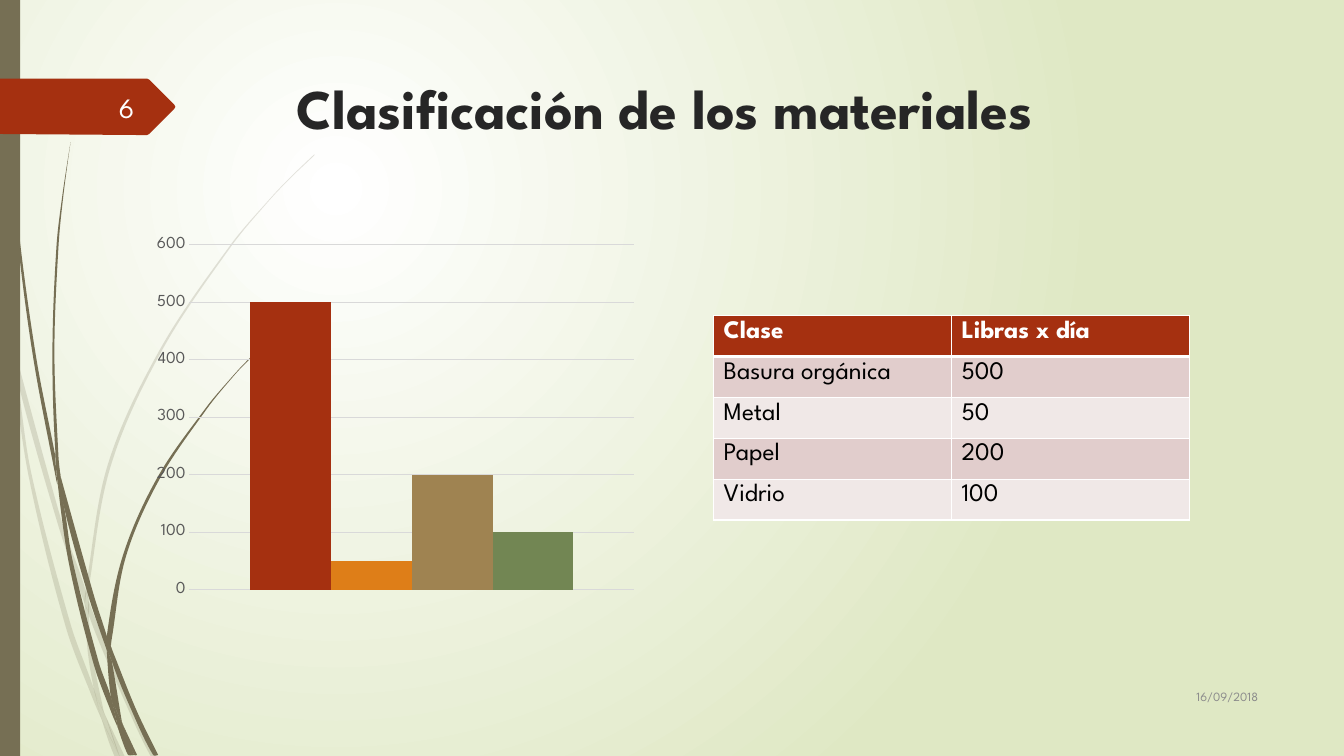
from lxml.etree import SubElement
from math import hypot
from pptx import Presentation
from pptx.chart.data import CategoryChartData
from pptx.dml.color import RGBColor
from pptx.enum.chart import XL_CHART_TYPE, XL_TICK_MARK
from pptx.enum.shapes import MSO_SHAPE
from pptx.enum.text import MSO_ANCHOR, PP_ALIGN
from pptx.oxml import parse_xml
from pptx.oxml.ns import nsdecls, qn
from pptx.util import Emu, Pt

PX = 9144  # 100 px to the inch
FONT = "League Spartan"
COLORS = {
    "white": "FFFFFF", "pale green": "DFE8C4", "stem": "766F54",
    "red": "A53010", "orange": "DE7E18", "tan": "9F8351", "green": "728653",
    "title": "262626", "number": "FEFFFF", "date": "8C8C8C", "black": "000000",
    "axis": "595959", "grid": "D9D9D9", "band dark": "E1CDCC", "band light": "F0E8E7",
}
MATERIALS = [("Basura orgánica", 500, "red"), ("Metal", 50, "orange"),
             ("Papel", 200, "tan"), ("Vidrio", 100, "green")]

# Outlines of the grass blades, as x,y pairs
PALE_BLADES = [
    "11,350 9,322 0,282 0,299 10,344",
    "58,522 84,599 85,586 62,520 14,345 17,376",
    "92,607 88,596 88,610 123,694 150,751 155,751 127,692",
    "119,751 124,751 105,711",
    "93,683 70,619 31,469 17,376 11,350 28,470 65,621 92,693 101,714 99,707",
    "84,599 87,646 93,683 96,692 105,711 103,706 91,646 88,610 88,608",
    "88,584 110,462 160,349 229,245 268,198 290,175 312,154 312,153 289,175 268,197 "
    "228,244 158,348 107,461 85,584 85,586 88,596",
    "101,714 114,751 119,751",
    "88,608 88,610 88,596 85,586 84,599",
    "96,692 93,683 99,707 101,714 119,751 105,711",
]
DARK_BLADES = [
    "7,110 17,233 33,355 56,477 57,481 55,457 55,453 36,355 19,232 8,109 5,48 4,0 3,0 4,48",
    "88,592 106,645 106,633 106,631 93,590 60,472 64,505",
    "113,649 110,641 111,656 132,708 152,749 157,749 136,706",
    "110,691 98,657 72,556 64,505 57,477 68,557 93,659 111,708 117,722 116,717",
    "60,472 58,453 54,349 58,245 63,193 70,141 62,193 56,245 52,349 55,449",
    "133,749 136,749 122,719",
    "57,477 64,505 60,472 55,449 55,453",
    "111,633 125,552 158,476 205,406 231,374 245,359 261,344 260,344 245,358 231,373 "
    "204,405 156,474 122,551 106,631 110,641",
    "117,722 127,749 131,749",
    "106,645 110,691 116,706 122,719 121,716 111,656 109,651",
    "106,645 109,651 111,656 110,641 106,631 106,633",
    "116,706 110,691 116,717 117,722 130,749 133,749 122,719",
]


def px(*values):
    return [Emu(round(v * PX)) for v in values]


def rgb(name):
    return RGBColor.from_string(COLORS[name])


def set_all(obj, **formats):
    for name, value in formats.items():
        setattr(obj, name, value)


def set_font(font, size, color, bold=False):
    set_all(font, name=FONT, size=Pt(size), bold=bold)
    font.color.rgb = rgb(color)


def paint(sp, color, alpha=100):
    sp.shadow.inherit = False
    sp.line.fill.background()
    sp.fill.solid()
    sp.fill.fore_color.rgb = rgb(color)
    if alpha < 100:
        clr = sp.fill._xPr.find(".//" + qn("a:srgbClr"))
        SubElement(clr, qn("a:alpha"), val=str(alpha * 1000))


def set_background(s):
    fill = s.background.fill
    fill.gradient()
    for stop, color in zip(fill.gradient_stops, ("white", "pale green")):
        stop.color.rgb = rgb(color)
    grad = s._element.find(".//" + qn("a:gradFill"))
    grad.remove(grad.find(qn("a:lin")))
    grad.append(parse_xml(
        f'<a:path {nsdecls("a")} path="circle">'
        '<a:fillToRect l="50000" t="50000" r="100000" b="100000"/></a:path>'))


def add_polygon(s, points, color, alpha=100):
    builder = s.shapes.build_freeform(*points[0], scale=PX)
    builder.add_line_segments(points[1:], close=False)
    builder.add_line_segments(points[:1], close=True)
    sp = builder.convert_to_shape()
    paint(sp, color, alpha)
    return sp


def direction(before, point, after):
    """Unit tangent at a point, or zero at a sharp corner."""
    (ax, ay), (bx, by), (cx, cy) = before, point, after
    if (bx - ax) * (cx - bx) + (by - ay) * (cy - by) <= 0:
        return 0, 0
    length = hypot(cx - ax, cy - ay)
    return (cx - ax) / length, (cy - ay) / length


def add_blade(s, outline, alpha=100):
    points = [tuple(map(int, pair.split(","))) for pair in outline.split()]
    sp = add_polygon(s, points, "stem", alpha)
    left, top = min(x for x, _ in points), min(y for _, y in points)
    count = len(points)
    tangents = [direction(points[i - 1], points[i], points[(i + 1) % count])
                for i in range(count)]
    # Bend each straight side into a curve
    for i, line in enumerate(sp._element.findall(".//" + qn("a:lnTo"))):
        j = (i + 1) % count
        (x0, y0), (x1, y1) = points[i], points[j]
        third = hypot(x1 - x0, y1 - y0) / 3
        (u0, v0), (u1, v1) = tangents[i], tangents[j]
        line.tag = qn("a:cubicBezTo")
        handles = (x0 + u0 * third, y0 + v0 * third), (x1 - u1 * third, y1 - v1 * third)
        for k, (x, y) in enumerate(handles):
            pt = SubElement(line, qn("a:pt"), x=str(round(x - left, 2)), y=str(round(y - top, 2)))
            line.insert(k, pt)
    # Whole EMU coordinates inside the shape
    frame = sp._element.find(".//" + qn("a:pathLst"))[0]
    set_all(frame, w=frame.w * PX, h=frame.h * PX)
    for pt in frame.iter(qn("a:pt")):
        for key in "xy":
            pt.set(key, str(round(float(pt.get(key)) * PX)))


def add_label(s, text, box, size, color):
    tf = s.shapes.add_textbox(*px(*box)).text_frame
    set_all(tf, word_wrap=True, vertical_anchor=MSO_ANCHOR.MIDDLE)
    write(tf, text, PP_ALIGN.RIGHT, size, color)


def write(tf, text, align, size, color, bold=False):
    p = tf.paragraphs[0]
    p.alignment = align
    r = p.add_run()
    r.text = text
    set_font(r.font, size, color, bold)


def set_title(s, text):
    title = s.shapes.title
    set_all(title, **dict(zip(("left", "top", "width", "height"), px(284, 68, 975, 140))))
    set_all(title.text_frame, word_wrap=True, vertical_anchor=MSO_ANCHOR.TOP)
    write(title.text_frame, text, PP_ALIGN.LEFT, 40, "title", True)


def format_cell(cell, text, fill, color, bold, bottom):
    write(cell.text_frame, text, PP_ALIGN.LEFT, 18, color, bold)
    tcPr = cell._tc.get_or_add_tcPr()
    for side, width in (("L", 1), ("R", 1), ("T", 1), ("B", bottom)):
        ln = SubElement(tcPr, qn(f"a:ln{side}"), w=str(Pt(width)))
        SubElement(SubElement(ln, qn("a:solidFill")), qn("a:srgbClr"), val=COLORS["white"])
    cell.fill.solid()
    cell.fill.fore_color.rgb = rgb(fill)


def add_materials_table(s):
    rows = [("Clase", "Libras x día")] + [(name, str(value)) for name, value, _ in MATERIALS]
    table = s.shapes.add_table(len(rows), 2, *px(708, 313, 472, 203)).table
    for i, row in enumerate(rows):
        style = ("band dark" if i % 2 else "band light", "black", False, 1)
        for j, text in enumerate(row):
            format_cell(table.cell(i, j), text, *(style if i else ("red", "white", True, 3)))


def add_materials_chart(s):
    width, height = 487, 438
    data = CategoryChartData()
    data.categories = ["1"]
    for i, (_, value, _) in enumerate(MATERIALS, 1):
        data.add_series(f"Series {i}", [value])
    chart = s.shapes.add_chart(XL_CHART_TYPE.COLUMN_CLUSTERED,
                               *px(143, 183, width, height), data).chart
    set_all(chart, has_legend=False, has_title=False)
    set_font(chart.font, 10, "black")
    plot = chart.plots[0]
    set_all(plot, gap_width=150, overlap=0, vary_by_categories=False)
    for series, (_, _, color) in zip(plot.series, MATERIALS):
        series.format.fill.solid()
        series.format.fill.fore_color.rgb = rgb(color)
    chart.category_axis.visible = False
    axis = chart.value_axis
    set_all(axis, minimum_scale=0, maximum_scale=600, major_unit=100,
            major_tick_mark=XL_TICK_MARK.NONE, minor_tick_mark=XL_TICK_MARK.NONE)
    set_font(axis.tick_labels.font, 12, "axis")
    axis.format.line.fill.background()
    grid = axis.major_gridlines.format.line
    grid.width = Pt(0.75)
    grid.color.rgb = rgb("grid")
    # Fixed plot area
    area = chart._chartSpace.find(".//" + qn("c:plotArea"))
    for old in area.findall(qn("c:layout")):
        area.remove(old)
    values = {"layoutTarget": "inner", "xMode": "edge", "yMode": "edge",
              "x": 45 / width, "y": 60 / height, "w": 441 / width, "h": 342 / height}
    items = "".join(f'<c:{k} val="{v}"/>' for k, v in values.items())
    area.insert(0, parse_xml(f'<c:layout {nsdecls("c")}><c:manualLayout>{items}'
                             '</c:manualLayout></c:layout>'))


def main():
    prs = Presentation()
    prs.slide_width, prs.slide_height = px(1333.33, 750)
    s = prs.slides.add_slide(prs.slide_layouts[5])
    set_background(s)
    # Grass, side bar and number tag
    for outlines, alpha in ((PALE_BLADES, 20), (DARK_BLADES, 100)):
        for outline in outlines:
            add_blade(s, outline, alpha)
    paint(s.shapes.add_shape(MSO_SHAPE.RECTANGLE, *px(0, 0, 20, 750)), "stem")
    add_polygon(s, [(173, 108), (148, 133), (146, 134), (136, 134), (0, 133), (0, 78),
                    (146, 78), (148, 79), (173, 104), (174, 106)], "red")
    # Content
    set_title(s, "Clasificación de los materiales")
    add_materials_table(s)
    add_label(s, "16/09/2018", (1133, 670, 125, 41), 9, "date")
    add_label(s, "6", (58, 86, 85, 40), 20, "number")
    add_materials_chart(s)
    prs.save("out.pptx")


if __name__ == "__main__":
    main()
